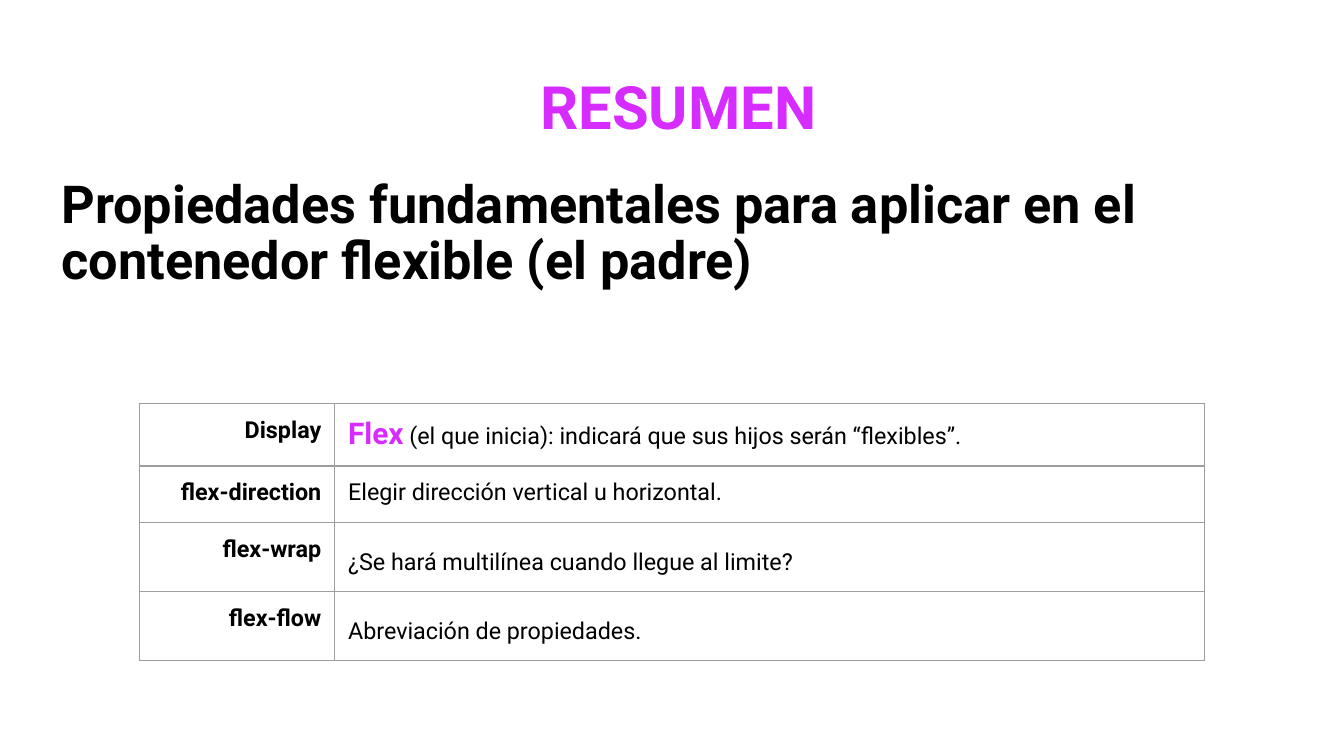
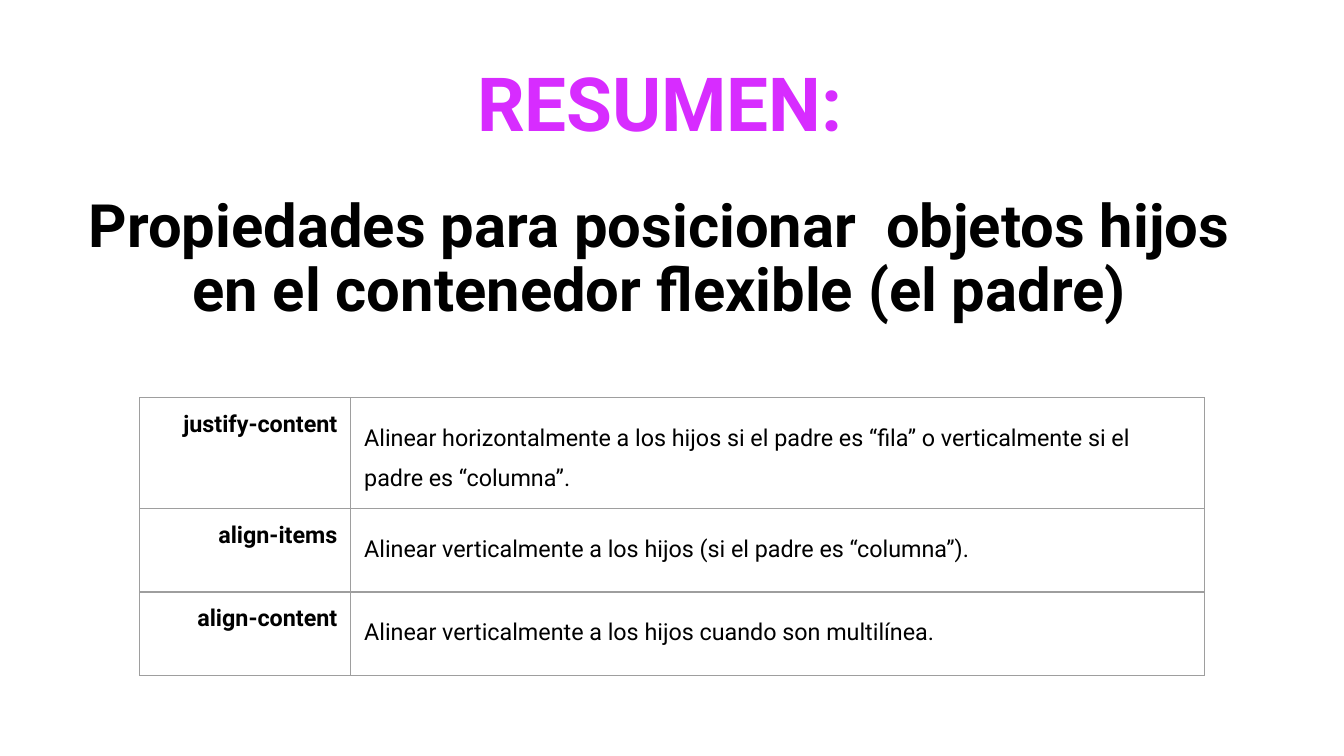
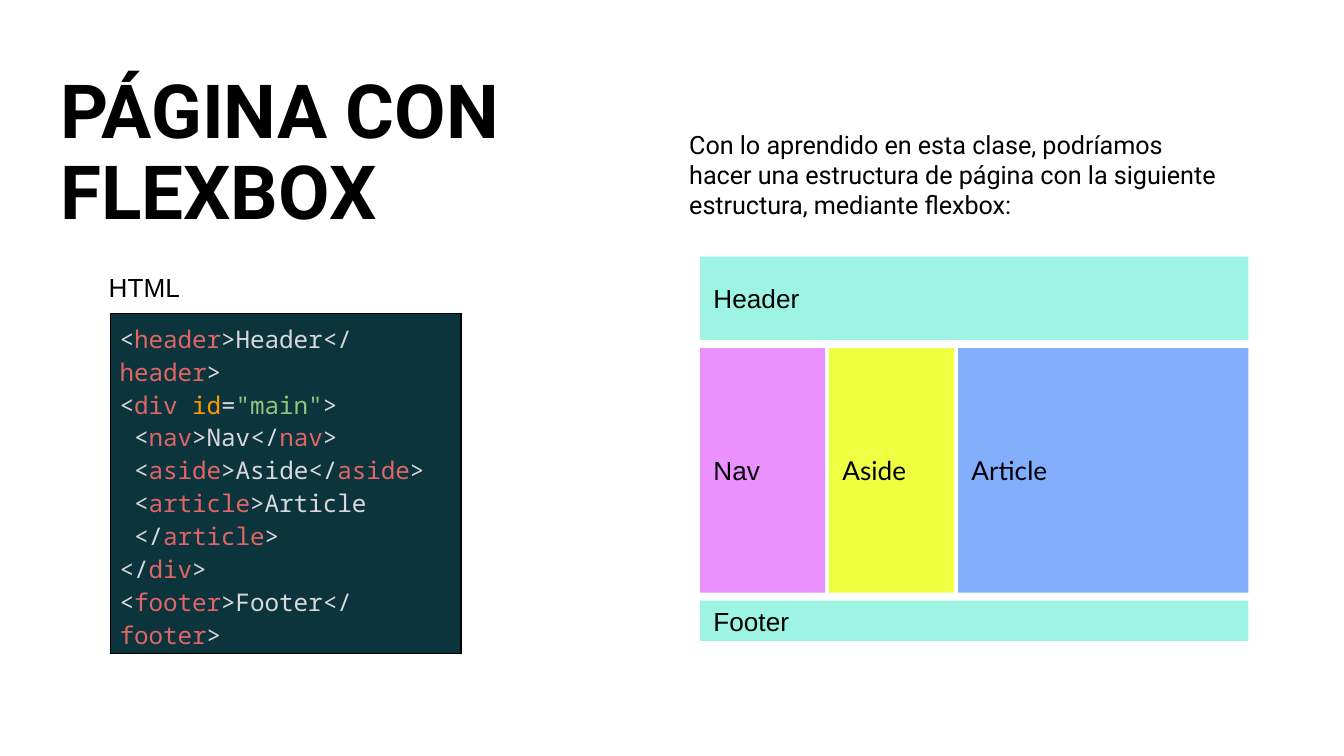
from dataclasses import dataclass
from typing import NamedTuple

from lxml import etree
from pptx import Presentation
from pptx.dml.color import RGBColor
from pptx.enum.shapes import MSO_SHAPE
from pptx.enum.text import MSO_ANCHOR, PP_ALIGN
from pptx.oxml.ns import qn
from pptx.util import Emu, Pt

EMU_PER_PX = 9144  # 100 px to the inch
SLIDE_WIDTH = 1000
INSET, CODE_INSET = 10, 7

BLACK = RGBColor(0x00, 0x00, 0x00)
MAGENTA = RGBColor(0xD7, 0x2C, 0xFF)
GRID_GRAY = RGBColor(0x9E, 0x9E, 0x9E)
MINT = RGBColor(0x9D, 0xF4, 0xE2)
PINK = RGBColor(0xEA, 0x90, 0xFF)
YELLOW = RGBColor(0xEE, 0xFF, 0x41)
BLUE = RGBColor(0x83, 0xAE, 0xFB)
CODE_BACKGROUND = RGBColor(0x0C, 0x34, 0x3D)
CODE_PLAIN = RGBColor(0xD9, 0xD9, 0xD9)
CODE_TAG = RGBColor(0xE0, 0x66, 0x66)
CODE_ATTRIBUTE = RGBColor(0xFF, 0x99, 0x00)
CODE_STRING = RGBColor(0x93, 0xC4, 0x7D)

ROBOTO, ARIAL, LATO, MONO = "Roboto", "Arial", "Lato", "Noto Sans Mono"
LEFT, CENTER, RIGHT = PP_ALIGN.LEFT, PP_ALIGN.CENTER, PP_ALIGN.RIGHT
MIDDLE = MSO_ANCHOR.MIDDLE
RECTANGLE = MSO_SHAPE.RECTANGLE

CELL_SIZE = 12.5
TITLE_SPACING = 0.9
LINE_BREAK = "\n"


class Box(NamedTuple):
    left: int
    top: int
    width: int
    height: int


class Span(NamedTuple):
    text: str
    size: float
    color: RGBColor = BLACK
    bold: bool = False
    font: str = ROBOTO


@dataclass
class Line:
    spans: list[Span]
    align: PP_ALIGN = LEFT
    spacing: float = 1.0
    space_before: float = 0


class Property(NamedTuple):
    name: str
    description: list[Span]
    height: int
    spacing: float = 1.5


@dataclass
class Summary:
    heading: str
    heading_size: int
    subtitle: str
    subtitle_size: int
    subtitle_align: PP_ALIGN
    subtitle_gap: float
    title_box: Box
    table_top: int
    name_width: int
    properties: list[Property]


class Region(NamedTuple):
    name: str
    box: Box
    color: RGBColor
    font: str


def px(length: int) -> Emu:
    return Emu(length * EMU_PER_PX)


def place(box: Box) -> list[Emu]:
    return [px(length) for length in box]


def set_margins(holder, inset: int) -> None:
    """Give a text frame or a table cell the same inset on all sides."""
    holder.margin_left = holder.margin_right = px(inset)
    holder.margin_top = holder.margin_bottom = px(inset)


def write(text_frame, lines: list[Line]) -> None:
    for index, line in enumerate(lines):
        paragraph = text_frame.add_paragraph() if index else text_frame.paragraphs[0]
        paragraph.alignment = line.align
        paragraph.line_spacing = line.spacing
        if line.space_before:
            paragraph.space_before = Pt(line.space_before)
        for span in line.spans:
            if span.text == LINE_BREAK:
                paragraph.add_line_break()
                continue
            run = paragraph.add_run()
            run.text = span.text
            run.font.name = span.font
            run.font.size = Pt(span.size)
            run.font.bold = span.bold
            run.font.color.rgb = span.color


def add_text(slide, box: Box, lines: list[Line]) -> None:
    text_frame = slide.shapes.add_textbox(*place(box)).text_frame
    text_frame.word_wrap = True
    set_margins(text_frame, INSET)
    write(text_frame, lines)


def set_borders(cell, color: RGBColor) -> None:
    properties = cell._tc.get_or_add_tcPr()
    for index, side in enumerate(("a:lnL", "a:lnR", "a:lnT", "a:lnB")):
        border = etree.Element(qn(side), w=str(Pt(0.75)))
        fill = etree.SubElement(border, qn("a:solidFill"))
        etree.SubElement(fill, qn("a:srgbClr"), val=str(color))
        properties.insert(index, border)


def add_plain_table(slide, left: int, top: int, widths: list[int], heights: list[int]):
    """Add a table without header or banding."""
    box = Box(left, top, sum(widths), sum(heights))
    table = slide.shapes.add_table(len(heights), len(widths), *place(box)).table
    table.first_row = table.horz_banding = False
    for column, width in zip(table.columns, widths):
        column.width = px(width)
    for row, height in zip(table.rows, heights):
        row.height = px(height)
    return table


def add_summary(slide, summary: Summary) -> None:
    heading = Span(summary.heading, summary.heading_size, MAGENTA, True)
    subtitle = Span(summary.subtitle, summary.subtitle_size, BLACK, True)
    add_text(slide, summary.title_box, [
        Line([heading], CENTER, TITLE_SPACING),
        Line([subtitle], summary.subtitle_align, TITLE_SPACING, summary.subtitle_gap),
    ])
    table = add_plain_table(
        slide, 104, summary.table_top,
        [summary.name_width, 792 - summary.name_width],
        [item.height for item in summary.properties],
    )
    for row, item in enumerate(summary.properties):
        name = Line([Span(item.name, CELL_SIZE, bold=True)], RIGHT)
        description = Line(item.description, spacing=item.spacing)
        for column, line in enumerate((name, description)):
            cell = table.cell(row, column)
            cell.fill.background()
            set_margins(cell, INSET)
            set_borders(cell, GRID_GRAY)
            write(cell.text_frame, [line])


def add_region(slide, region: Region) -> None:
    shape = slide.shapes.add_shape(RECTANGLE, *place(region.box))
    shape.shadow.inherit = False
    shape.fill.solid()
    shape.fill.fore_color.rgb = region.color
    shape.line.fill.background()
    shape.text_frame.vertical_anchor = MIDDLE
    set_margins(shape.text_frame, INSET)
    write(shape.text_frame, [Line([Span(region.name, 14, font=region.font)])])


def page_regions() -> list[Region]:
    """Lay out header, three columns and footer of the sample page."""
    left, top, width = 521, 191, 408
    header_height, main_height, footer_height = 62, 182, 30
    row_gap, column_gap, side_width = 6, 3, 93
    main_top = top + header_height + row_gap
    footer_top = main_top + main_height + row_gap
    aside_left = left + side_width + column_gap
    article_left = aside_left + side_width + column_gap
    article_width = left + width - article_left
    return [
        Region("Header", Box(left, top, width, header_height), MINT, ARIAL),
        Region("Nav", Box(left, main_top, side_width, main_height), PINK, ARIAL),
        Region("Aside", Box(aside_left, main_top, side_width, main_height), YELLOW, LATO),
        Region("Article", Box(article_left, main_top, article_width, main_height), BLUE, LATO),
        Region("Footer", Box(left, footer_top, width, footer_height), MINT, ARIAL),
    ]


def code(text: str, color: RGBColor = CODE_PLAIN) -> Span:
    return Span(text, 13, color, font=MONO)


def element(name: str, content: str, indent: str = "", wrapped: bool = False) -> Line:
    """Colour one HTML element, with its closing tag on a new line if wrapped."""
    closing = [code(f">{content}</")]
    if wrapped:
        closing = [code(f">{content}"), code(LINE_BREAK), code(f"{indent}</")]
    tag = code(name, CODE_TAG)
    return Line([code(f"{indent}<"), tag, *closing, tag, code(">")])


HTML_LINES = [
    element("header", "Header"),
    Line([code("<"), code("div ", CODE_TAG), code("id", CODE_ATTRIBUTE), code("="),
          code('"main"', CODE_STRING), code(">")]),
    element("nav", "Nav", " "),
    element("aside", "Aside", " "),
    element("article", "Article", " ", wrapped=True),
    Line([code("</"), code("div", CODE_TAG), code(">")]),
    element("footer", "Footer"),
]

SUMMARIES = [
    Summary(
        "RESUMEN", 32,
        "Propiedades fundamentales para aplicar en el contenedor flexible (el padre)",
        28, LEFT, 19, Box(36, 48, 938, 181), 300, 145,
        [
            Property("Display", [
                Span("Flex", 16, MAGENTA, True),
                Span(" (el que inicia): indicará que sus hijos serán “flexibles”.", CELL_SIZE),
            ], 46, 1.0),
            Property("flex-direction",
                     [Span("Elegir dirección vertical u horizontal.", CELL_SIZE)], 42, 1.0),
            Property("flex-wrap",
                     [Span("¿Se hará multilínea cuando llegue al limite?", CELL_SIZE)], 51),
            Property("flex-flow", [Span("Abreviación de propiedades.", CELL_SIZE)], 51),
        ],
    ),
    Summary(
        "RESUMEN:", 40,
        "Propiedades para posicionar  objetos hijos en el contenedor flexible (el padre)",
        32, CENTER, 25.5, Box(46, 40, 890, 214), 296, 157,
        [
            Property("justify-content", [Span(
                "Alinear horizontalmente a los hijos si el padre es “fila” "
                "o verticalmente si el padre es “columna”.", CELL_SIZE)], 82),
            Property("align-items", [Span(
                "Alinear verticalmente a los hijos (si el padre es “columna”).",
                CELL_SIZE)], 62),
            Property("align-content", [Span(
                "Alinear verticalmente a los hijos cuando son multilínea.",
                CELL_SIZE)], 62),
        ],
    ),
]


def add_flexbox_page(slide) -> None:
    add_text(slide, Box(35, 45, 497, 141), [
        Line([Span("PÁGINA CON FLEXBOX", 40, bold=True)], spacing=TITLE_SPACING)])
    add_text(slide, Box(503, 86, 419, 88), [Line([Span(
        "Con lo aprendido en esta clase, podríamos hacer una estructura de página "
        "con la siguiente estructura, mediante flexbox:", 13.5)])])
    for region in page_regions():
        add_region(slide, region)
    cell = add_plain_table(slide, 82, 233, [261], [253]).cell(0, 0)
    cell.fill.solid()
    cell.fill.fore_color.rgb = CODE_BACKGROUND
    set_margins(cell, CODE_INSET)
    set_borders(cell, BLACK)
    write(cell.text_frame, HTML_LINES)
    add_text(slide, Box(71, 192, 328, 67), [Line([Span("HTML", 14, font=ARIAL)])])


def main() -> None:
    presentation = Presentation()
    presentation.slide_width = px(SLIDE_WIDTH)
    presentation.slide_height = px(SLIDE_WIDTH) * 9 // 16
    blank = presentation.slide_layouts[6]
    for summary in SUMMARIES:
        add_summary(presentation.slides.add_slide(blank), summary)
    add_flexbox_page(presentation.slides.add_slide(blank))
    presentation.save("out.pptx")


if __name__ == "__main__":
    main()
